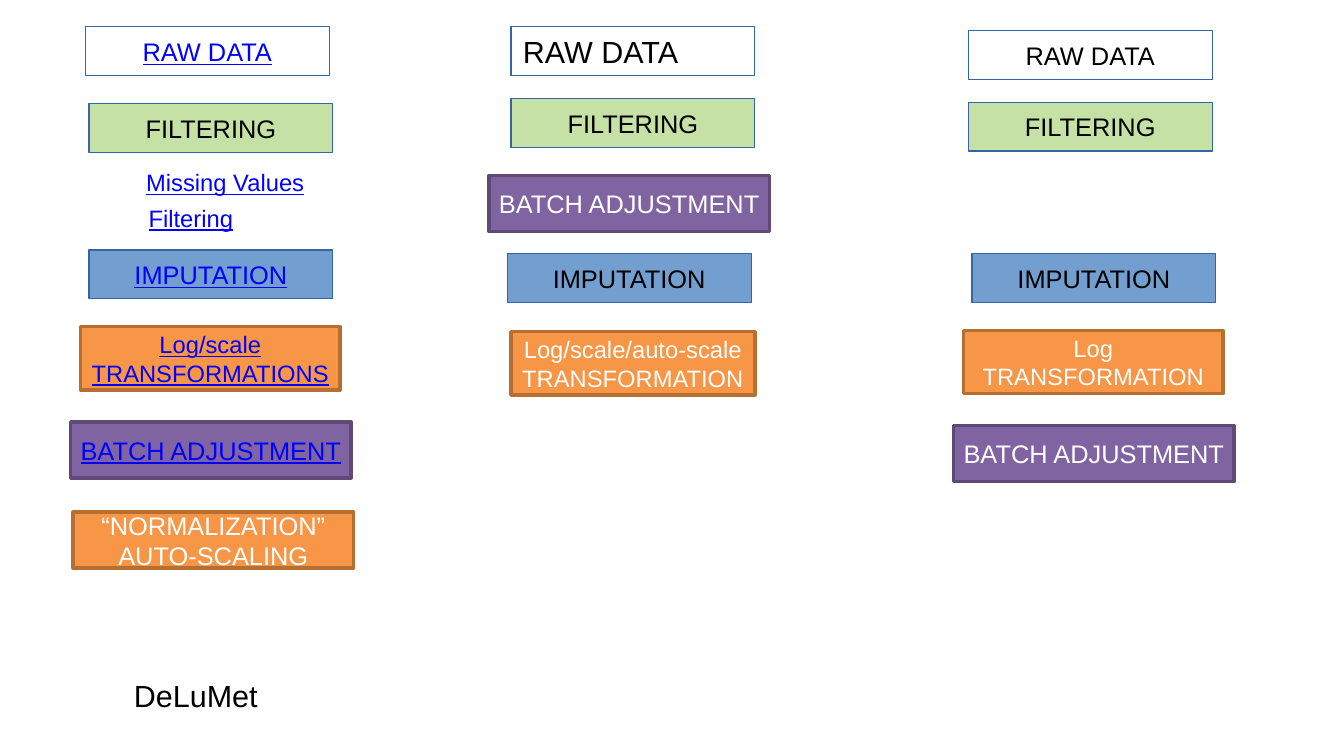
from dataclasses import dataclass

from pptx import Presentation
from pptx.dml.color import RGBColor
from pptx.enum.shapes import MSO_SHAPE as Preset
from pptx.enum.text import MSO_ANCHOR as Anchor, PP_ALIGN as Align
from pptx.slide import Slide
from pptx.text.text import TextFrame
from pptx.util import Inches, Pt

COLORS = {
    "white": "FFFFFF",
    "black": "000000",
    "link": "0000FF",
    "thin border": "3465A4",
    "green": "C5E1A5",
    "blue": "729FCF",
    "orange": "F79646",
    "orange border": "B66E33",
    "purple": "8064A2",
    "purple border": "5E4977",
}


@dataclass(frozen=True)
class Stage:
    fill: str
    border: str
    border_width: float
    width: float
    height: float
    size: float
    color: str


RAW = Stage("white", "thin border", 0, 2, 0.4, 15, "black")
FILTERING = Stage("green", "thin border", 0, 2, 0.4, 15, "black")
IMPUTATION = Stage("blue", "thin border", 0, 2, 0.4, 15, "black")
TRANSFORMATION = Stage("orange", "orange border", 2, 2.13, 0.52, 14, "white")
SHORT_TRANSFORMATION = Stage("orange", "orange border", 2, 2, 0.52, 14, "white")
BATCH = Stage("purple", "purple border", 2, 2.3, 0.46, 15, "white")
NORMALIZATION = Stage("orange", "orange border", 2, 2.3, 0.46, 15, "white")
RAW_LARGE = Stage("white", "thin border", 0, 2, 0.4, 18, "black")


@dataclass(frozen=True)
class Step:
    stage: Stage
    left: float
    top: float
    text: str
    linked: bool = False
    align: Align = Align.CENTER


@dataclass(frozen=True)
class Label:
    left: float
    top: float
    width: float
    height: float
    text: str
    size: float
    linked: bool = False


STEPS = [
    Step(RAW, 0.7, 0.22, "RAW DATA", linked=True),
    Step(FILTERING, 0.73, 0.85, "FILTERING"),
    Step(IMPUTATION, 0.73, 2.05, "IMPUTATION", linked=True),
    Step(TRANSFORMATION, 0.66, 2.68, "Log/scale\nTRANSFORMATIONS", linked=True),
    Step(BATCH, 0.58, 3.46, "BATCH ADJUSTMENT", linked=True),
    Step(NORMALIZATION, 0.6, 4.2, "“NORMALIZATION”\nAUTO-SCALING"),
    Step(RAW_LARGE, 4.19, 0.22, "RAW DATA", align=Align.LEFT),
    Step(FILTERING, 4.19, 0.81, "FILTERING"),
    Step(BATCH, 4.01, 1.44, "BATCH ADJUSTMENT"),
    Step(IMPUTATION, 4.16, 2.08, "IMPUTATION"),
    Step(SHORT_TRANSFORMATION, 4.19, 2.72, "Log/scale/auto-scale\nTRANSFORMATION"),
    Step(RAW, 7.94, 0.25, "RAW DATA"),
    Step(FILTERING, 7.94, 0.84, "FILTERING"),
    Step(IMPUTATION, 7.97, 2.08, "IMPUTATION"),
    Step(TRANSFORMATION, 7.9, 2.71, "Log\nTRANSFORMATION"),
    Step(BATCH, 7.82, 3.49, "BATCH ADJUSTMENT"),
]

LABELS = [
    Label(1.1, 1.33, 1.79, 0.34, "Missing Values", 14, linked=True),
    Label(1.12, 1.62, 1.79, 0.34, "Filtering", 14, linked=True),
    Label(1, 5.5, 1.5, 0.5, "DeLuMet", 18),
]


def rgb(name: str) -> RGBColor:
    return RGBColor.from_string(COLORS[name])


def write(frame: TextFrame, text: str, size: float, color: str, linked: bool, align: Align) -> None:
    frame.text = text
    for paragraph in frame.paragraphs:
        paragraph.alignment = align
        paragraph.font.name = "Arial"
        paragraph.font.size = Pt(size)
        paragraph.font.color.rgb = rgb("link" if linked else color)
        paragraph.font.underline = linked


def draw_step(slide: Slide, step: Step) -> None:
    stage = step.stage
    box = slide.shapes.add_shape(
        Preset.RECTANGLE,
        Inches(step.left), Inches(step.top), Inches(stage.width), Inches(stage.height),
    )
    box.shadow.inherit = False
    box.fill.solid()
    box.fill.fore_color.rgb = rgb(stage.fill)
    box.line.color.rgb = rgb(stage.border)
    box.line.width = Pt(stage.border_width)
    frame = box.text_frame
    frame.word_wrap = step.align == Align.LEFT
    frame.vertical_anchor = Anchor.MIDDLE
    write(frame, step.text, stage.size, stage.color, step.linked, step.align)


def draw_label(slide: Slide, label: Label) -> None:
    box = slide.shapes.add_textbox(
        Inches(label.left), Inches(label.top), Inches(label.width), Inches(label.height)
    )
    box.text_frame.word_wrap = True
    write(box.text_frame, label.text, label.size, "black", label.linked, Align.LEFT)


def main() -> None:
    deck = Presentation()
    deck.slide_width = Inches(11.02)
    deck.slide_height = Inches(6.2)
    slide = deck.slides.add_slide(deck.slide_layouts[6])
    for step in STEPS:
        draw_step(slide, step)
    for label in LABELS:
        draw_label(slide, label)
    deck.save("out.pptx")


if __name__ == "__main__":
    main()
